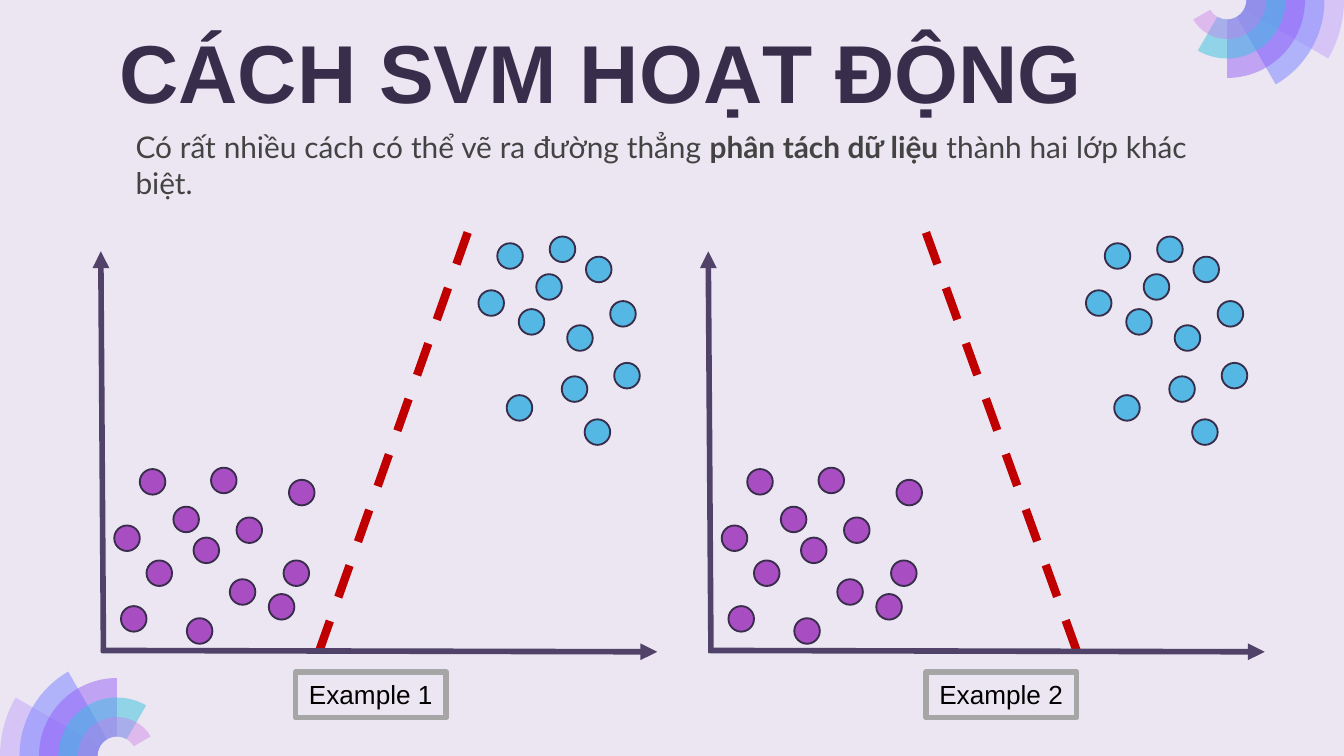
from math import cos, radians, sin, tan

from lxml.etree import SubElement
from pptx import Presentation
from pptx.dml.color import RGBColor
from pptx.enum.dml import MSO_LINE
from pptx.enum.shapes import MSO_CONNECTOR, MSO_SHAPE
from pptx.enum.text import MSO_ANCHOR, PP_ALIGN
from pptx.oxml.ns import qn
from pptx.util import Inches, Pt

COLORS = {
    "background": "EBE6F1", "title": "382D4B", "body": "434343", "label": "000000",
    "axis": "504268", "separator": "C00000", "frame": "A6A6A6",
    "purple": "A94DC2", "blue": "55B8E4",
}
TITLE = "CÁCH SVM HOẠT ĐỘNG"
EXPLANATION = [
    ("Có rất nhiều cách có thể vẽ ra đường thẳng ", False),
    ("phân tách dữ liệu", True),
    (" thành hai lớp khác biệt.", False),
]
EXAMPLES = [
    {"label": "Example 1", "label_left": 2.2, "plot_left": 0.75,
     "separator": [(3.48, 1.73), (2.32, 5)]},
    {"label": "Example 2", "label_left": 6.89, "plot_left": 5.27,
     "separator": [(6.89, 1.73), (8.01, 4.84)]},
]
AXES = [[(0.02, 4.85), (0, 1.87)], [(0, 4.84), (4.14, 4.85)]]
DOT_SIZE = 0.19
DOTS = {
    "purple": [(0.15, 4.51), (0.34, 4.17), (0.1, 3.91), (0.29, 3.49), (0.54, 3.77),
               (0.69, 4), (0.96, 4.31), (0.64, 4.6), (0.82, 3.48), (1.01, 3.85),
               (1.4, 3.57), (1.36, 4.17), (1.25, 4.42)],
    "blue": [(3.61, 1.91), (3.79, 2.24), (3.82, 2.7), (3.6, 3.12), (3.02, 2.94),
             (3.47, 2.42), (3.43, 2.8), (3.11, 2.3), (3.24, 2.04), (3.34, 1.76),
             (2.95, 1.81), (2.81, 2.16)],
}
FAN_RINGS = [("C8ACFD", 58), ("878FFF", 58), ("9154F8", 46), ("35C2DF", 49), ("CA7BEB", 42)]
FANS = [((0.87, 5.625), 180), ((9.13, 0), 0)]
FAN_STEP = 0.145


def color(value):
    return RGBColor.from_string(COLORS.get(value, value))


def polar(center, radius, angle):
    return (Inches(center[0] + radius * cos(radians(angle))),
            Inches(center[1] - radius * sin(radians(angle))))


def round_edges(ring, center, corners):
    edges = ring._element.findall(".//" + qn("a:lnTo"))
    for edge, (radius, start), (end_radius, end) in zip(edges, corners, corners[1:]):
        if radius != end_radius:
            continue
        reach = 4 / 3 * tan(radians(end - start) / 4) * radius
        edge_start, edge_end = polar(center, radius, start), polar(center, radius, end)
        from_start = polar((0, 0), reach, start + 90)
        from_end = polar((0, 0), reach, end + 90)
        controls = [(edge_start[0] + from_start[0], edge_start[1] + from_start[1]),
                    (edge_end[0] - from_end[0], edge_end[1] - from_end[1]), edge_end]
        curve = SubElement(edge.getparent(), qn("a:cubicBezTo"))
        for x, y in controls:
            SubElement(curve, qn("a:pt"), x=str(x - ring.left), y=str(y - ring.top))
        edge.getparent().replace(edge, curve)


def add_fan(shapes, center, start):
    fan = shapes.add_group_shape().shapes
    for i, (fill, opacity) in enumerate(FAN_RINGS):
        sweep = 30 * (i + 1)
        angles = [start - turn for turn in sorted({0, min(90, sweep), sweep})]
        corners = [(FAN_STEP * (6 - i), a) for a in angles]
        corners += [(FAN_STEP, a) for a in reversed(angles)]
        points = [polar(center, *corner) for corner in corners]
        builder = fan.build_freeform(*points[0], scale=1.0)
        builder.add_line_segments(points[1:], close=True)
        ring = builder.convert_to_shape()
        round_edges(ring, center, corners)
        ring.shadow.inherit = False
        ring.fill.solid()
        ring.fill.fore_color.rgb = color(fill)
        ring.line.fill.background()
        tint = ring._element.spPr.find(qn("a:solidFill"))[0]
        SubElement(tint, qn("a:alpha"), val=str(opacity * 1000))


def add_line(shapes, start, end, stroke, width):
    line = shapes.add_connector(MSO_CONNECTOR.STRAIGHT, *map(Inches, start + end))
    line.line.color.rgb = color(stroke)
    line.line.width = Pt(width)
    SubElement(line._element.spPr, qn("a:effectLst"))
    return line


def add_plot(shapes, left):
    plot = shapes.add_group_shape().shapes
    for (x1, y1), (x2, y2) in AXES:
        axis = add_line(plot, (left + x1, y1), (left + x2, y2), "axis", 3)
        SubElement(axis._element.spPr.find(qn("a:ln")), qn("a:tailEnd"), type="triangle")
    for group, places in DOTS.items():
        for x, y in places:
            dot = plot.add_shape(MSO_SHAPE.OVAL, Inches(left + x), Inches(y),
                                 Inches(DOT_SIZE), Inches(DOT_SIZE))
            dot.shadow.inherit = False
            dot.fill.solid()
            dot.fill.fore_color.rgb = color(group)
            dot.line.color.rgb = color("title")
            dot.line.width = Pt(1)


def style(font, name, size, fill, bold=False):
    font.name, font.size, font.bold = name, Pt(size), bold
    font.color.rgb = color(fill)


def add_title(shapes):
    title = shapes.add_textbox(Inches(0.79), Inches(0.06), Inches(8.43), Inches(0.63))
    frame = title.text_frame
    frame.word_wrap = True
    frame.margin_top = frame.margin_bottom = Inches(0.1)
    frame.text = TITLE
    style(frame.paragraphs[0].runs[0].font, "Arial", 44, "title", True)


def add_explanation(shapes):
    explanation = shapes.add_textbox(Inches(0.91), Inches(0.91), Inches(8.02), Inches(0.64))
    explanation.text_frame.word_wrap = True
    sentence = explanation.text_frame.paragraphs[0]
    sentence.alignment = PP_ALIGN.JUSTIFY
    for text, bold in EXPLANATION:
        run = sentence.add_run()
        run.text = text
        style(run.font, "Lato", 16, "body", bold)


def add_label(shapes, text, left):
    label = shapes.add_shape(MSO_SHAPE.RECTANGLE, Inches(left), Inches(5),
                             Inches(1.12), Inches(0.34))
    label.shadow.inherit = False
    label.fill.background()
    label.line.color.rgb = color("frame")
    label.line.width = Pt(3)
    frame = label.text_frame
    frame.word_wrap = False
    frame.vertical_anchor = MSO_ANCHOR.TOP
    frame.text = text
    frame.paragraphs[0].alignment = PP_ALIGN.LEFT
    style(frame.paragraphs[0].runs[0].font, "Arial", 14, "label")


def main():
    deck = Presentation()
    deck.slide_width, deck.slide_height = Inches(10), Inches(5.625)
    slide = deck.slides.add_slide(deck.slide_layouts[6])
    slide.background.fill.solid()
    slide.background.fill.fore_color.rgb = color("background")
    shapes = slide.shapes

    for center, start in FANS:
        add_fan(shapes, center, start)
    for example in reversed(EXAMPLES):
        separator = add_line(shapes, *example["separator"], "separator", 4.5)
        separator.line.dash_style = MSO_LINE.DASH
    add_title(shapes)
    for example in reversed(EXAMPLES):
        add_plot(shapes, example["plot_left"])
    add_explanation(shapes)
    for example in EXAMPLES:
        add_label(shapes, example["label"], example["label_left"])
    deck.save("out.pptx")


if __name__ == "__main__":
    main()
